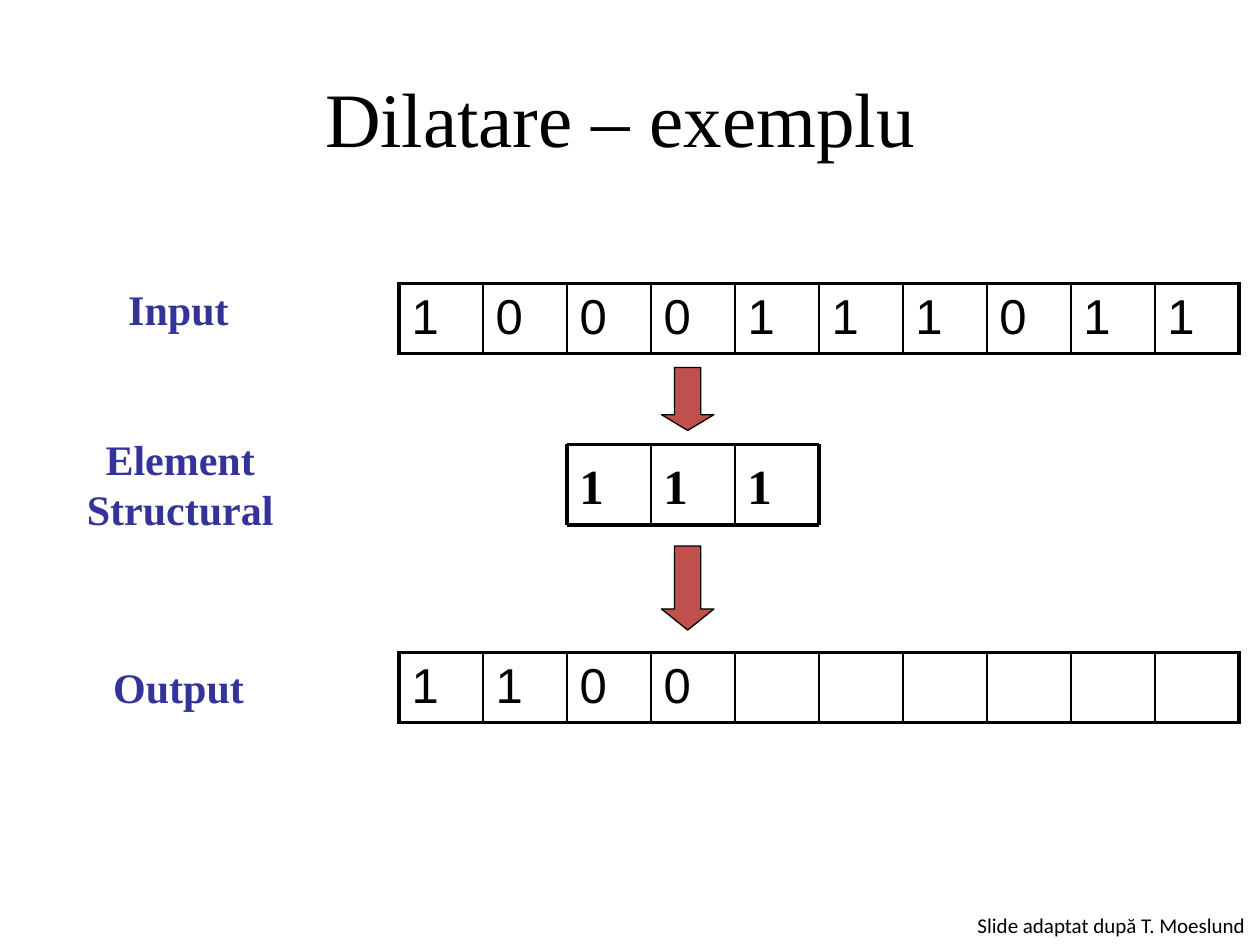
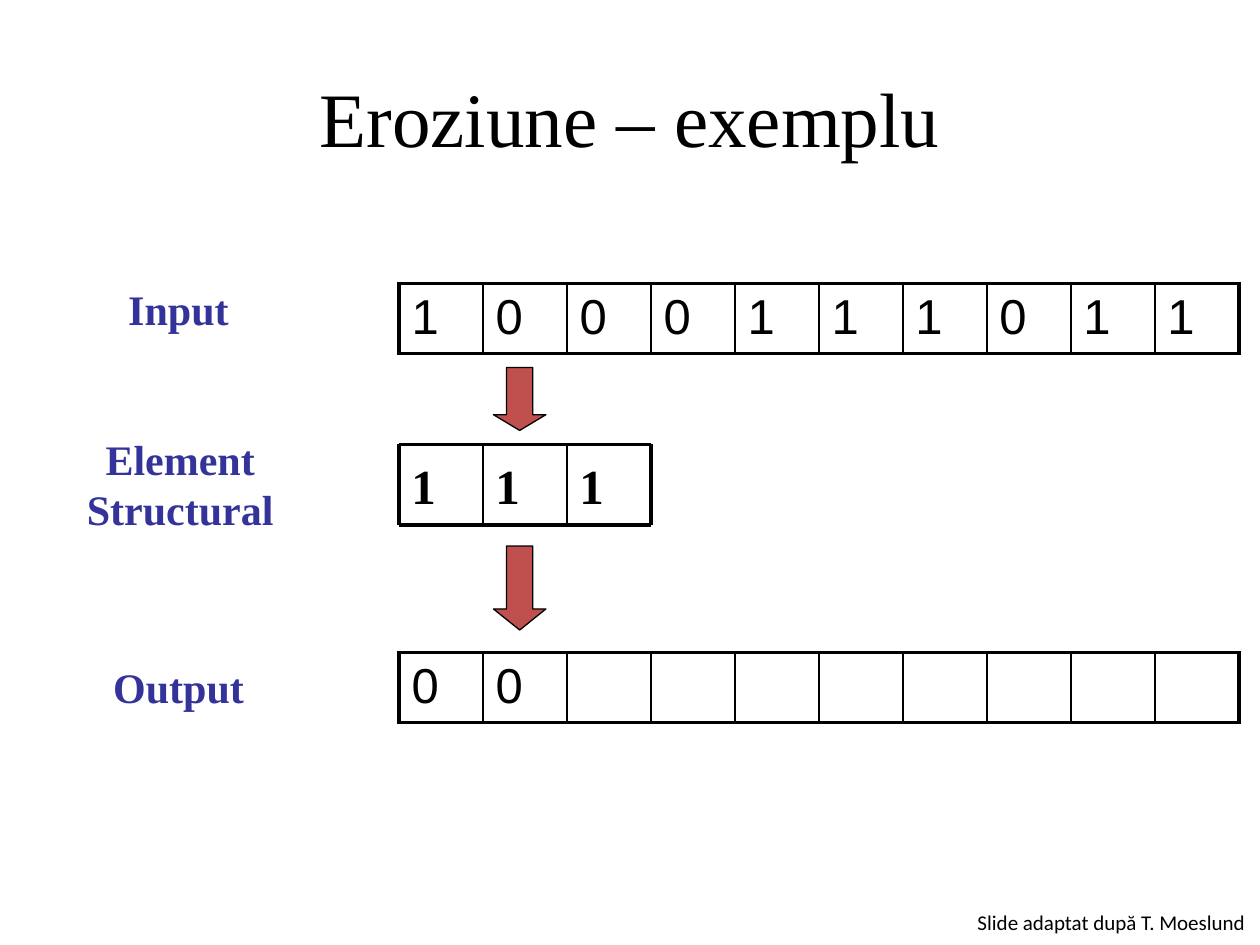
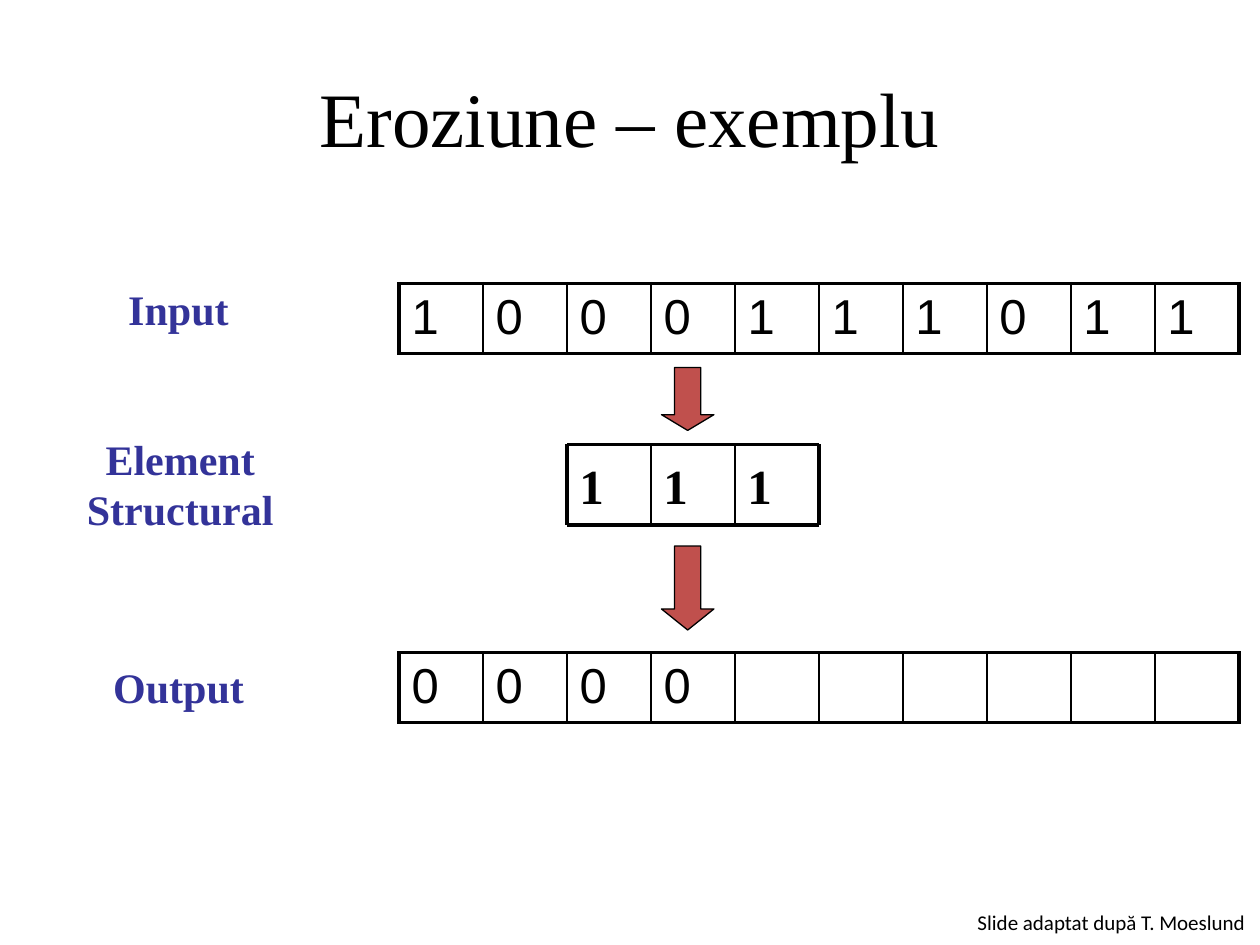
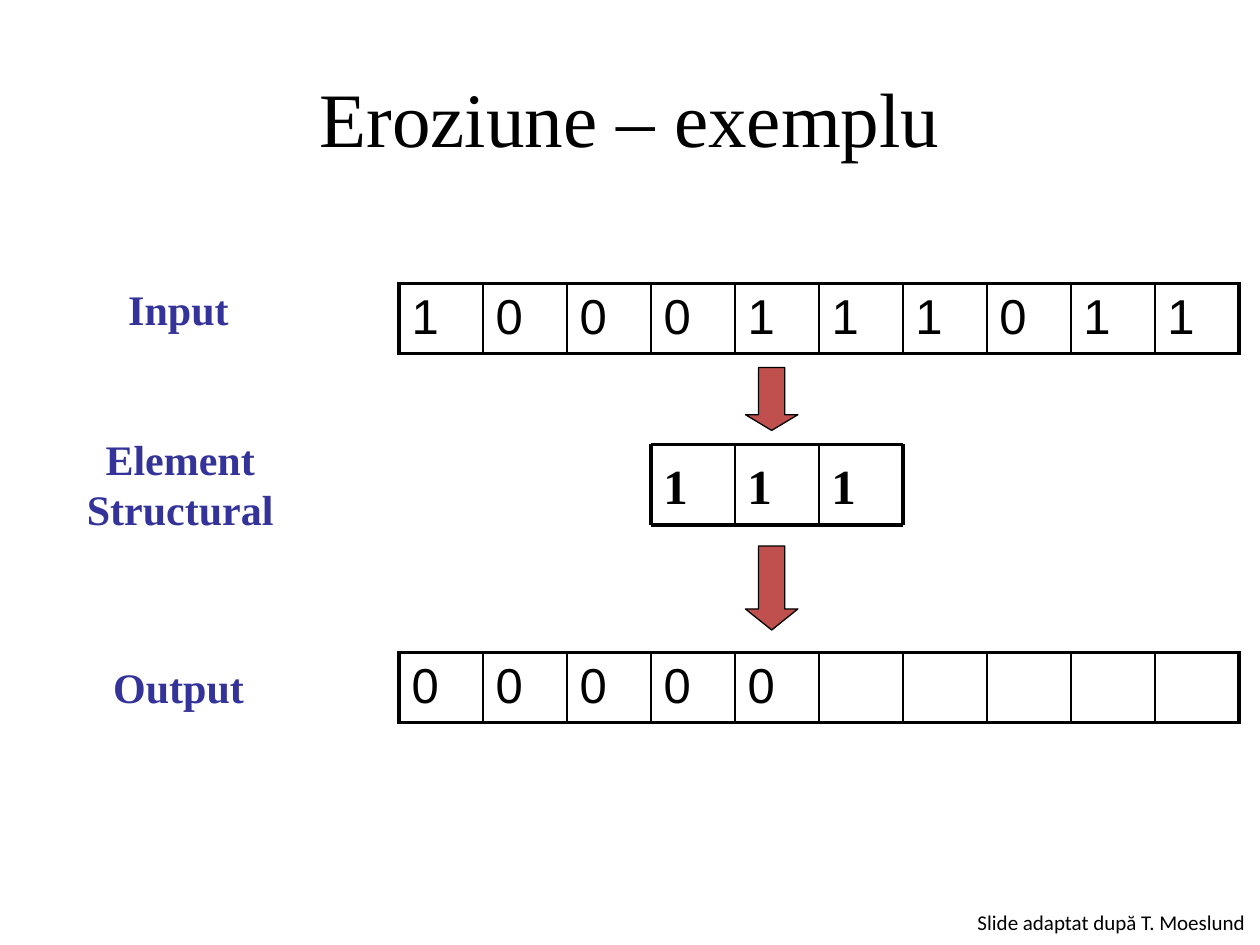
from lxml.etree import SubElement
from pptx import Presentation
from pptx.dml.color import RGBColor
from pptx.enum.shapes import MSO_CONNECTOR, MSO_SHAPE
from pptx.enum.text import MSO_ANCHOR, MSO_AUTO_SIZE, PP_ALIGN
from pptx.oxml.ns import qn
from pptx.util import Pt

BLACK = RGBColor(0x00, 0x00, 0x00)
INDIGO = RGBColor(0x33, 0x33, 0x99)
RED = RGBColor(0xC0, 0x50, 0x4D)

INPUT = "1000111011"
ELEMENT = "111"
FOOTER = "Slide adaptat după T. Moeslund"

# title, output computed so far, first input cell under the element, footer top
SLIDES = [
    ("Dilatare – exemplu ", "1100", 2, 517.7),
    ("Eroziune – exemplu", "00", 0, 516.2),
    ("Eroziune – exemplu", "0000", 2, 516.2),
    ("Eroziune – exemplu", "00000", 3, 516.2),
]

# lines, left, top, width, height
LABELS = [
    (["Input"], 66.2, 158.4, 72.7, 36),
    (["Element", "Structural"], 41.8, 244, 122.4, 65.5),
    (["Output"], 57.6, 374.4, 90, 36),
]

TITLE_FONT = dict(name="Times New Roman", size=Pt(44))
LABEL_FONT = dict(name="Times New Roman", size=Pt(24), bold=True)
ELEMENT_FONT = dict(name="Times New Roman", size=Pt(28), bold=True)
CELL_FONT = dict(name="Arial", size=Pt(28))
FOOTER_FONT = dict(name="Calibri", size=Pt(12))

CELL_W, ROW_H = 48, 40
ROW_LEFT, INPUT_TOP, OUTPUT_TOP = 228, 162, 373
ELEMENT_TOP, ELEMENT_BOTTOM = 254, 300
ARROW_W = 30
ARROWS = [(312, 48, 0.4), (210, 36, 0.3)]  # top, height, head length
THICK, THIN = 2.25, 1


def style(font, values, color=BLACK):
    for name, value in values.items():
        setattr(font, name, value)
    font.color.rgb = color


def add_text(s, lines, box, font, color=BLACK, align=PP_ALIGN.LEFT,
             anchor=MSO_ANCHOR.TOP, wrap=False):
    tf = s.shapes.add_textbox(*map(Pt, box)).text_frame
    tf.word_wrap = wrap
    tf.auto_size = MSO_AUTO_SIZE.NONE if wrap else MSO_AUTO_SIZE.SHAPE_TO_FIT_TEXT
    tf.vertical_anchor = anchor
    for i, line in enumerate(lines):
        p = tf.add_paragraph() if i else tf.paragraphs[0]
        p.alignment = align
        r = p.add_run()
        r.text = line
        style(r.font, font, color)


def add_border(cell, side, width):
    ln = SubElement(cell._tc.get_or_add_tcPr(), qn(f"a:ln{side}"), w=str(Pt(width)))
    fill = SubElement(ln, qn("a:solidFill"))
    SubElement(fill, qn("a:srgbClr"), val=str(BLACK))


def add_signal(s, values, top):
    """Draw one row of cells; cells without a value stay empty."""
    n = len(INPUT)
    table = s.shapes.add_table(1, n, Pt(ROW_LEFT), Pt(top),
                               Pt(n * CELL_W), Pt(ROW_H)).table
    table.first_row = table.horz_banding = False
    for i in range(n):
        table.columns[i].width = Pt(CELL_W)
        cell = table.cell(0, i)
        add_border(cell, "L", THIN if i else THICK)
        add_border(cell, "R", THIN if i < n - 1 else THICK)
        add_border(cell, "T", THICK)
        add_border(cell, "B", THICK)
        cell.fill.background()
        p = cell.text_frame.paragraphs[0]
        if i < len(values):
            r = p.add_run()
            r.text = values[i]
            style(r.font, CELL_FONT)
        else:
            style(p.font, CELL_FONT)


def add_line(s, x1, y1, x2, y2, width):
    line = s.shapes.add_connector(MSO_CONNECTOR.STRAIGHT, *map(Pt, (x1, y1, x2, y2)))
    line.line.color.rgb = BLACK
    line.line.width = Pt(width)
    SubElement(line._element.spPr, qn("a:effectLst"))


def add_element(s, left):
    n = len(ELEMENT)
    right = left + n * CELL_W
    for i, value in enumerate(ELEMENT):
        box = (left + i * CELL_W, ELEMENT_TOP, CELL_W, ELEMENT_BOTTOM - ELEMENT_TOP)
        add_text(s, [value], box, ELEMENT_FONT, anchor=MSO_ANCHOR.MIDDLE, wrap=True)
    for y in (ELEMENT_TOP, ELEMENT_BOTTOM):
        add_line(s, left, y, right, y, THICK)
    for i in range(n + 1):
        x = left + i * CELL_W
        add_line(s, x, ELEMENT_TOP, x, ELEMENT_BOTTOM, THICK if i in (0, n) else THIN)


def add_arrow(s, left, top, height, head):
    sp = s.shapes.add_shape(MSO_SHAPE.DOWN_ARROW, Pt(left), Pt(top),
                            Pt(ARROW_W), Pt(height))
    sp.adjustments[0], sp.adjustments[1] = 0.5, head
    sp.shadow.inherit = False
    sp.fill.solid()
    sp.fill.fore_color.rgb = RED
    sp.line.color.rgb = BLACK
    sp.line.width = Pt(0.75)


def add_slide(prs, title, output, start, footer_top):
    s = prs.slides.add_slide(prs.slide_layouts[6])
    add_text(s, [title], (36, 21.6, 648, 90), TITLE_FONT, align=PP_ALIGN.CENTER,
             anchor=MSO_ANCHOR.MIDDLE, wrap=True)
    add_signal(s, INPUT, INPUT_TOP)
    add_signal(s, output, OUTPUT_TOP)
    left = ROW_LEFT + start * CELL_W
    add_element(s, left)
    for top, height, head in ARROWS:
        add_arrow(s, left + CELL_W + 6, top, height, head)
    for lines, *box in LABELS:
        align = PP_ALIGN.CENTER if len(lines) > 1 else PP_ALIGN.LEFT
        add_text(s, lines, box, LABEL_FONT, INDIGO, align)
    add_text(s, [FOOTER], (551.5, footer_top, 170.6, 21.6), FOOTER_FONT)


def main():
    prs = Presentation()
    prs.slide_width, prs.slide_height = Pt(720), Pt(540)
    for content in SLIDES:
        add_slide(prs, *content)
    prs.save("out.pptx")


if __name__ == "__main__":
    main()
